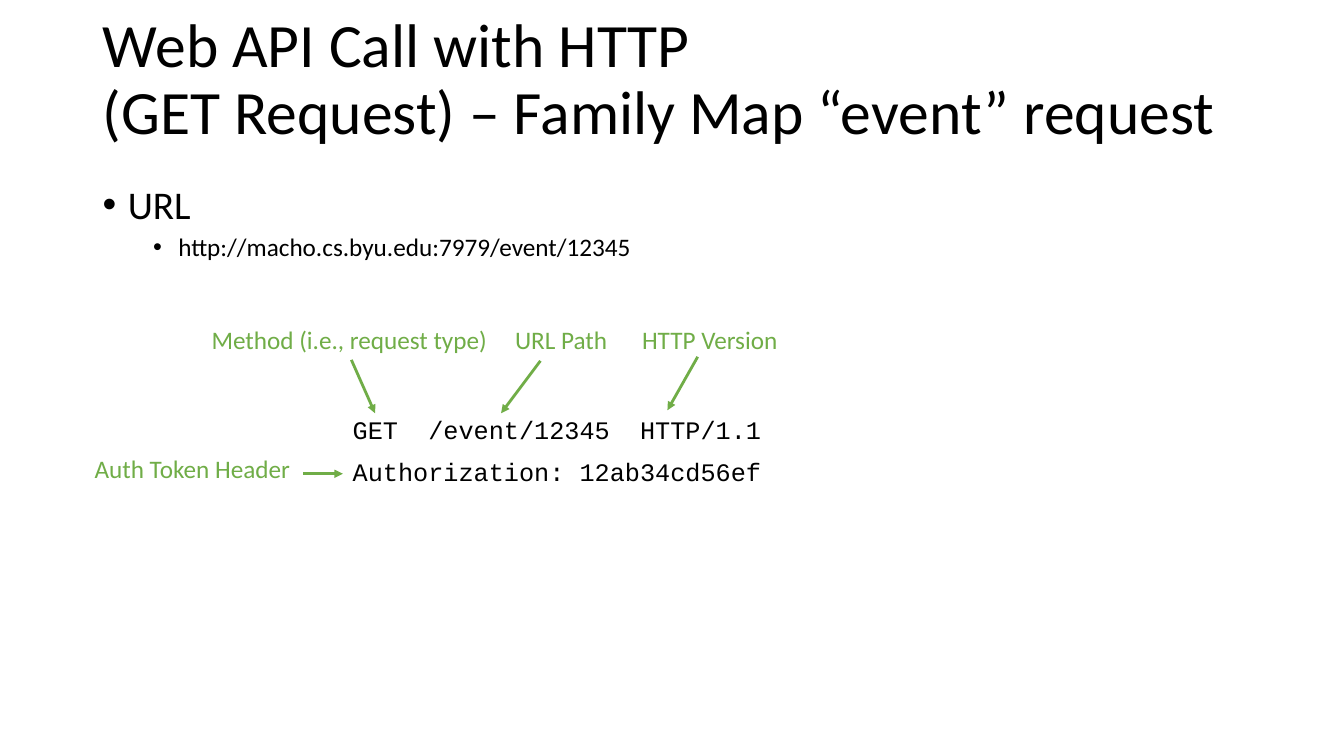
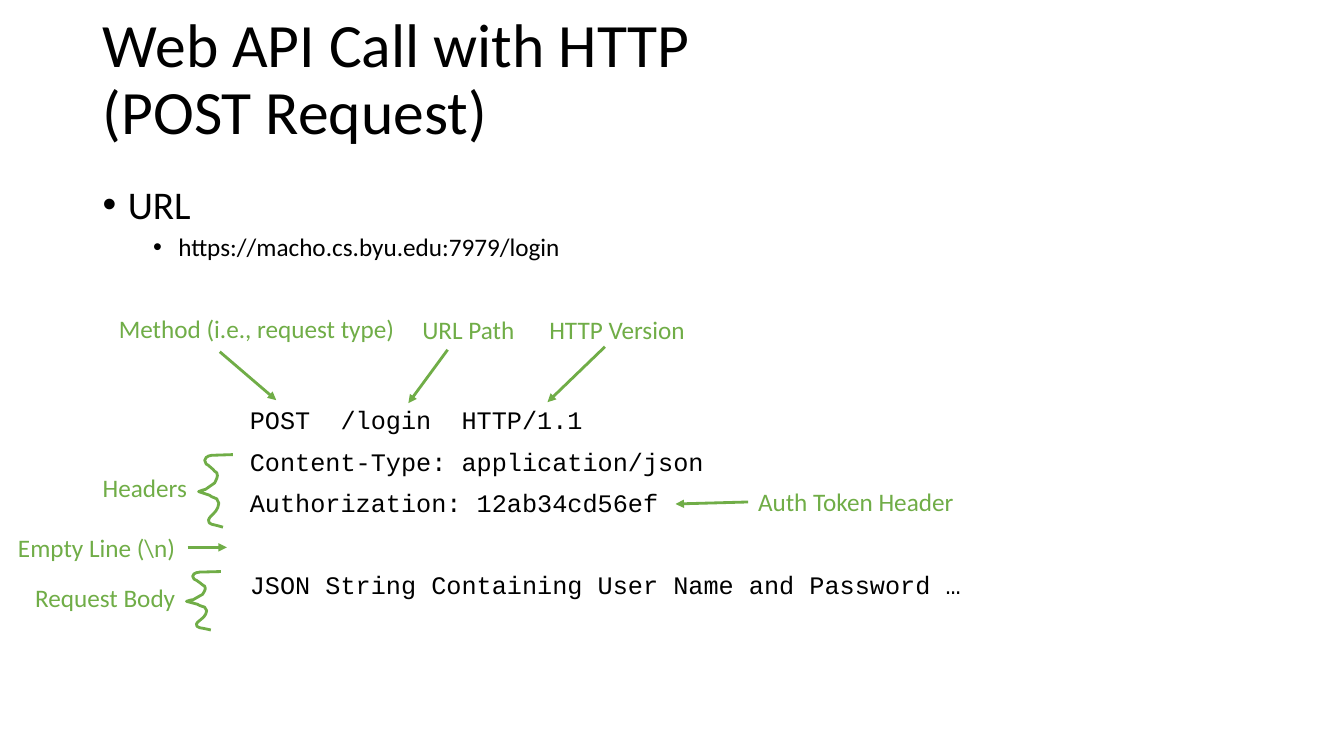
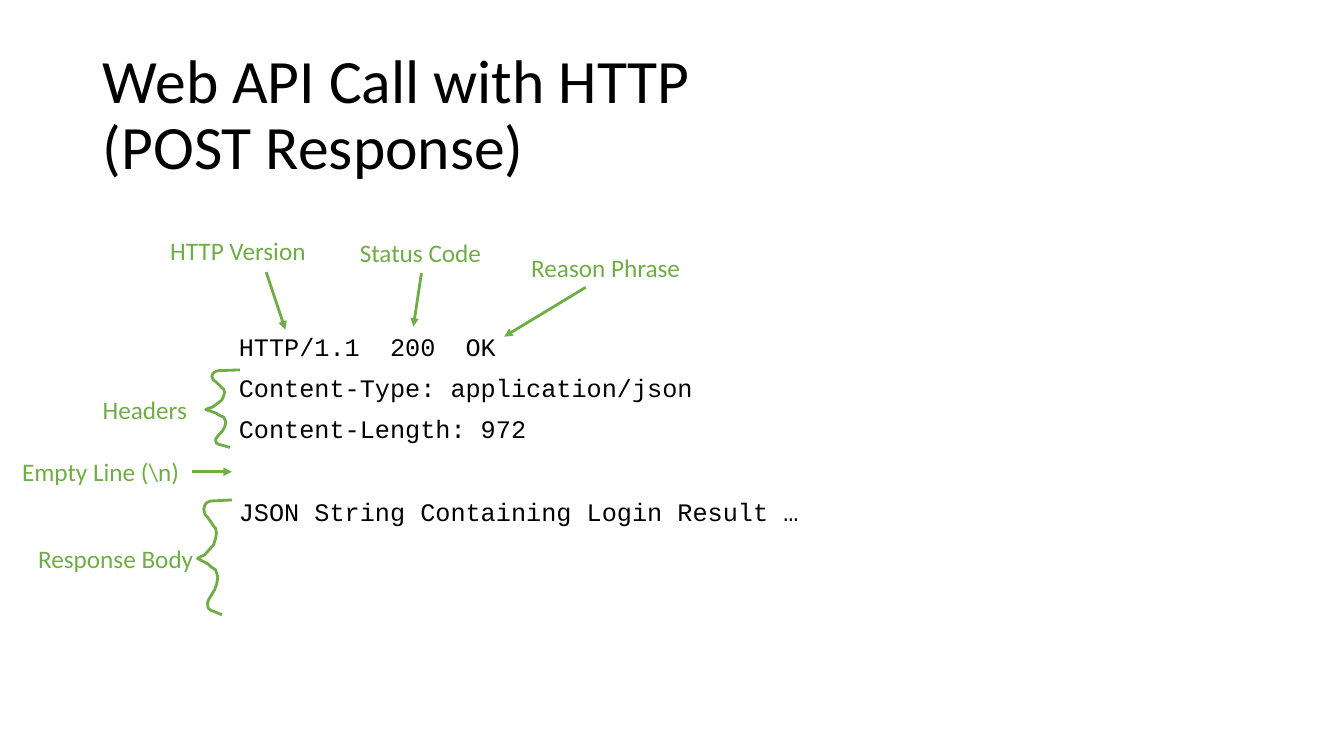
import pptx
import pptx.util
import pptx.dml.color
import pptx.enum.shapes
import pptx.enum.text
import pptx.oxml.ns
from lxml import etree

INK, GREEN = "000000", "70AD47"
SANS, MONO = "Calibri", "Courier New"
LEFT, WIDE = 0.92, 11.5
HIGH = 0.4  # label height
BRACE = 0.34  # brace width
GAP, BLANK = 10, 39.3  # points before a code line, and before one after an empty line
DOWN, WEST, EAST = 2, 1, 3  # connection sites of a label

# Label text -> box width
WIDTHS = {
    "Method (i.e., request type)": 2.97, "URL Path": 1.13, "HTTP Version": 1.56,
    "Auth Token Header": 2.16, "Headers": 1.05, "Empty Line (\\n)": 1.78,
    "Request Body": 1.61, "Response Body": 1.76, "Status Code": 1.42,
    "Reason Phrase": 1.69,
}

# Outline of a brace, in percent of its width and height
CURVE = [
    (100, 0), (38, 1), (29, 2), (22, 4), (18, 8), (22, 13), (29, 15), (41, 20),
    (47, 23), (53, 25), (55, 29), (53, 33), (47, 39), (38, 42), (26, 46), (20, 48),
    (11, 49), (0, 51), (32, 56), (38, 58), (53, 61), (59, 67), (56, 73), (50, 78),
    (38, 84), (32, 87), (29, 90), (31, 94), (38, 96), (56, 98), (71, 100),
]

# labels: text, left, top, then the arrow's start (a site or a point) and end
# braces: left, top, height
SLIDES = [
    {
        "title": ["Web API Call with HTTP",
                  "(GET Request) – Family Map “event” request"],
        "top": 0.08,
        "url": "http://macho.cs.byu.edu:7979/event/12345",
        "box": (3.4, 4.1, 4.53, 1.17),
        "code": ["GET  /event/12345  HTTP/1.1", "Authorization: 12ab34cd56ef"],
        "labels": [
            ("Method (i.e., request type)", 2, 3.17, DOWN, (3.72, 4.1)),
            ("URL Path", 5.01, 3.17, (5.36, 3.58), (4.97, 4.1)),
            ("HTTP Version", 6.27, 3.17, (6.92, 3.54), (6.62, 4.07)),
            ("Auth Token Header", 0.84, 4.45, (3.01, 4.7), (3.4, 4.7)),
        ],
        "braces": [],
    },
    {
        "title": ["Web API Call with HTTP", "(POST Request)"],
        "top": 0.08,
        "url": "https://macho.cs.byu.edu:7979/login",
        "box": (2.38, 4, 8.34, 2.38),
        "code": ["POST  /login  HTTP/1.1", "Content-Type: application/json",
                 "Authorization: 12ab34cd56ef", "",
                 "JSON String Containing User Name and Password …"],
        "labels": [
            ("Method (i.e., request type)", 1.08, 3.06, (2.18, 3.49), (2.74, 3.97)),
            ("URL Path", 4.09, 3.07, (4.44, 3.47), (4.05, 4)),
            ("HTTP Version", 5.35, 3.07, (6, 3.44), (5.43, 3.99)),
            ("Headers", 0.92, 4.64, None, None),
            ("Empty Line (\\n)", 0.08, 5.23, EAST, (2.25, 5.43)),
            ("Request Body", 0.25, 5.73, None, None),
            ("Auth Token Header", 7.42, 4.78, WEST, (6.7, 5)),
        ],
        "braces": [(1.97, 4.51, 0.72), (1.85, 5.67, 0.58)],
    },
    {
        "title": ["Web API Call with HTTP", "(POST Response)"],
        "top": 0.43,
        "url": None,
        "box": (2.27, 3.27, 6.96, 3.23),
        "code": ["HTTP/1.1  200  OK", "Content-Type: application/json",
                 "Content-Length: 972", "",
                 "JSON String Containing Login Result …"],
        "labels": [
            ("HTTP Version", 1.59, 2.29, (2.64, 2.7), (2.83, 3.27)),
            ("Status Code", 3.47, 2.31, DOWN, (4.1, 3.24)),
            ("Reason Phrase", 5.17, 2.45, (5.81, 2.85), (5, 3.34)),
            ("Headers", 0.92, 3.86, None, None),
            ("Empty Line (\\n)", 0.12, 4.48, EAST, (2.3, 4.68)),
            ("Response Body", 0.28, 5.34, None, None),
        ],
        "braces": [(2.04, 3.67, 0.77), (1.96, 4.96, 1.14)],
    },
]


def emu(*sizes):
    return [pptx.util.Inches(size) for size in sizes]


def rgb(code):
    return pptx.dml.color.RGBColor.from_string(code)


def sub(node, tag, **attrs):
    return etree.SubElement(node, pptx.oxml.ns.qn(tag), **attrs)


def write(para, text, size, face=SANS, color=INK):
    run = para.add_run()
    run.text = text
    font = run.font
    font.size, font.name = pptx.util.Pt(size), face
    font.color.rgb = rgb(color)


def text_box(slide, place, wrap=True):
    frame = slide.shapes.add_textbox(*emu(*place))
    frame.text_frame.word_wrap = wrap
    return frame


def add_title(slide, lines, top):
    title = slide.shapes.title
    title.left, title.top, title.width, title.height = emu(LEFT, top, WIDE, 1.45)
    frame = title.text_frame
    frame.auto_size = pptx.enum.text.MSO_AUTO_SIZE.NONE
    frame.vertical_anchor = pptx.enum.text.MSO_ANCHOR.MIDDLE
    para = frame.paragraphs[0]
    para.alignment = pptx.enum.text.PP_ALIGN.LEFT
    para.line_spacing = 0.9
    for i, line in enumerate(lines):
        if i:
            para.add_line_break()
        write(para, line, 44)


def add_url(slide, url):
    frame = text_box(slide, (LEFT, 1.79, WIDE, 1)).text_frame
    rows = [("URL", 28, 0.25, 0), (url, 18, 0.75, 5)]
    for i, (text, size, indent, gap) in enumerate(rows):
        para = frame.add_paragraph() if i else frame.paragraphs[0]
        para.line_spacing, para.space_before = 0.9, pptx.util.Pt(gap)
        props = para._p.get_or_add_pPr()
        left, hang = emu(indent, -0.25)
        props.set("marL", str(left))
        props.set("indent", str(hang))
        sub(props, "a:buFont", typeface="Arial")
        sub(props, "a:buChar", char="•")
        write(para, text, size)


def add_code(slide, place, lines):
    frame = text_box(slide, place).text_frame
    gap = 0
    for i, line in enumerate(lines):
        if not line:
            gap = BLANK
            continue
        para = frame.add_paragraph() if i else frame.paragraphs[0]
        para.line_spacing, para.space_before = 0.9, pptx.util.Pt(gap)
        write(para, line, 18, MONO)
        gap = GAP


def stroke(line):
    line.color.rgb = rgb(GREEN)
    line.width = pptx.util.Pt(2)


def add_label(slide, text, left, top, start, end):
    """Add a green label and, where it has an end point, its arrow."""
    label = text_box(slide, (left, top, WIDTHS[text], HIGH), wrap=False)
    write(label.text_frame.paragraphs[0], text, 18, color=GREEN)
    if end is None:
        return
    joined = isinstance(start, int)
    first = (left, top) if joined else start
    arrow = slide.shapes.add_connector(
        pptx.enum.shapes.MSO_CONNECTOR.STRAIGHT, *emu(*first, *end))
    if joined:
        arrow.begin_connect(label, start)
    stroke(arrow.line)
    sub(arrow.line._get_or_add_ln(), "a:tailEnd", type="triangle")
    sub(arrow._element.spPr, "a:effectLst")


def add_brace(slide, left, top, height):
    dots = [emu(left + BRACE * x / 100, top + height * y / 100) for x, y in CURVE]
    pen = slide.shapes.build_freeform(*dots[0])
    pen.add_line_segments(dots[1:], close=False)
    brace = pen.convert_to_shape()
    brace.shadow.inherit = False
    brace.fill.background()
    stroke(brace.line)


def main():
    deck = pptx.Presentation()
    deck.slide_width, deck.slide_height = emu(13.33, 7.5)
    for page in SLIDES:
        slide = deck.slides.add_slide(deck.slide_layouts[5])
        add_title(slide, page["title"], page["top"])
        if page["url"]:
            add_url(slide, page["url"])
        add_code(slide, page["box"], page["code"])
        for label in page["labels"]:
            add_label(slide, *label)
        for brace in page["braces"]:
            add_brace(slide, *brace)
    deck.save("out.pptx")


if __name__ == "__main__":
    main()
